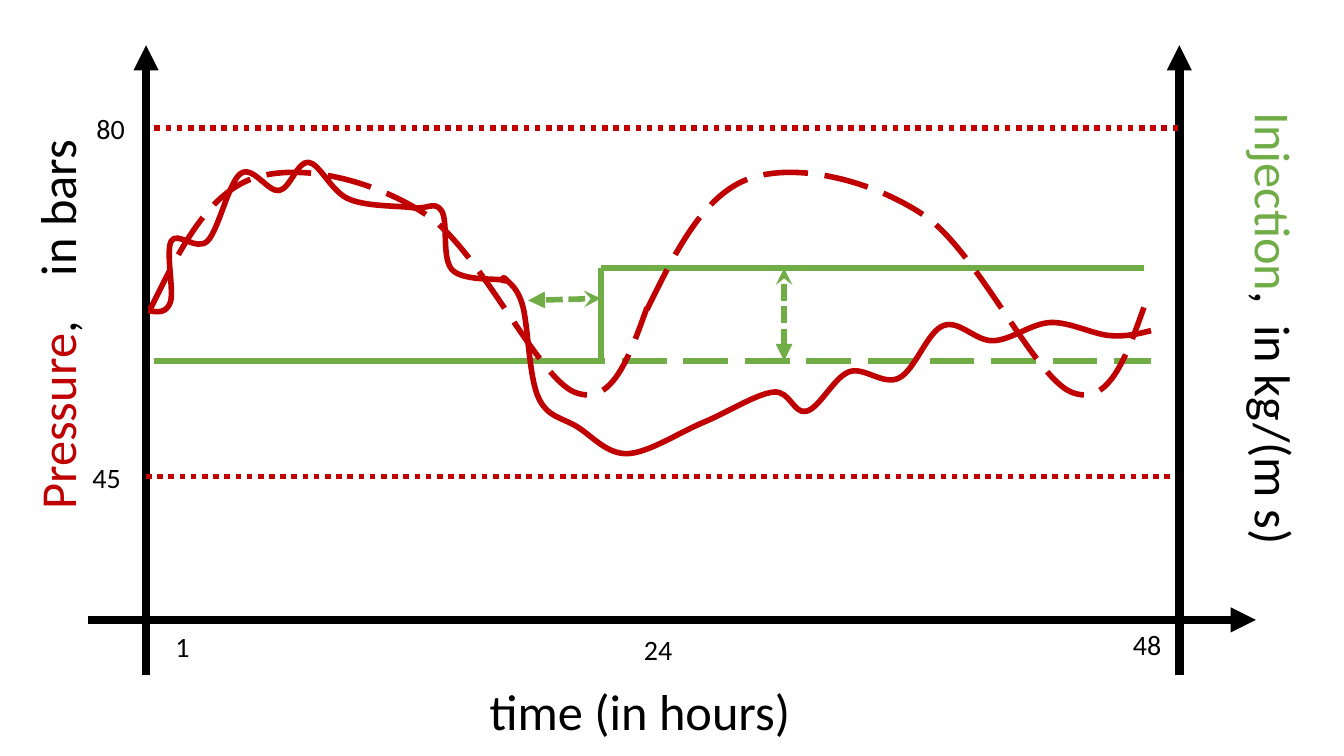
"""Build a slide plotting pressure and injection over 48 hours."""
from dataclasses import dataclass

from lxml.etree import SubElement
from pptx import Presentation
from pptx.dml.color import RGBColor
from pptx.enum.dml import MSO_LINE
from pptx.enum.shapes import MSO_CONNECTOR
from pptx.enum.text import MSO_AUTO_SIZE
from pptx.oxml.ns import qn
from pptx.util import Cm, Pt


@dataclass(frozen=True)
class Theme:
    black: RGBColor = RGBColor(0x00, 0x00, 0x00)
    red: RGBColor = RGBColor(0xC0, 0x00, 0x00)
    green: RGBColor = RGBColor(0x70, 0xAD, 0x47)
    font: str = "Calibri"
    label_size: Pt = Pt(36)
    tick_size: Pt = Pt(20)
    axis_width: Pt = Pt(6)
    plot_width: Pt = Pt(4)


theme = Theme()
LEFT_AXIS, RIGHT_AXIS, TIME_AXIS = 3.68, 29.72, 15.62
AXIS_TOP, AXIS_BOTTOM = 1.14, 17.02
PLOT_START, PLOT_END = 3.89, 29.01
MAX_PRESSURE, MIN_PRESSURE = 3.23, 12.01
HIGH_RATE, LOW_RATE = 6.76, 9.09
PLANNED_STEP, ACTUAL_STEP = 14.12, 15.14
LABEL_HEIGHT, TICK_WIDTH, TICK_HEIGHT = 1.8, 1.24, 1.12
CURVE_UNIT = Cm(2.54) // 100

presentation = Presentation()
presentation.slide_width = Cm(33.87)
presentation.slide_height = Cm(19.05)
slide = presentation.slides.add_slide(presentation.slide_layouts[6])


def add_line(start, end, color, width=theme.plot_width, dash=None, head=None, tail=None):
    """Draw a straight line between two points in centimetres."""
    ends = [Cm(length) for length in (*start, *end)]
    connector = slide.shapes.add_connector(MSO_CONNECTOR.STRAIGHT, *ends)
    connector.line.color.rgb = color
    connector.line.width = width
    if dash is not None:
        connector.line.dash_style = dash
    properties = connector._element.spPr
    for tag, arrow in (("a:headEnd", head), ("a:tailEnd", tail)):
        if arrow:
            SubElement(properties.find(qn("a:ln")), qn(tag), type=arrow)
    SubElement(properties, qn("a:effectLst"))


def add_curve(knots, dash=None):
    """Draw a smooth curve; each inner tangent is parallel to the chord of its neighbours."""
    builder = slide.shapes.build_freeform(*knots[0], scale=CURVE_UNIT)
    builder.add_line_segments(knots[1:], close=False)
    curve = builder.convert_to_shape()
    curve.shadow.inherit = False
    curve.fill.background()
    curve.line.color.rgb = theme.red
    curve.line.width = theme.plot_width
    if dash is not None:
        curve.line.dash_style = dash

    left, top = (min(values) for values in zip(*knots))
    places = [(x - left, y - top) for x, y in knots]
    arriving, leaving = {}, {}
    for index in range(1, len(places) - 1):
        before, knot, after = places[index - 1:index + 2]
        tangent = [(b - a) / 6 for a, b in zip(before, after)]
        arriving[index] = [k - t for k, t in zip(knot, tangent)]
        leaving[index] = [k + t for k, t in zip(knot, tangent)]
    last = len(places) - 1
    leaving[0] = [(a + b) / 2 for a, b in zip(places[0], arriving[1])]
    arriving[last] = [(a + b) / 2 for a, b in zip(places[last], leaving[last - 1])]

    outline = next(curve._element.iter(qn("a:path")))
    for index, segment in enumerate(outline.findall(qn("a:lnTo"))):
        bezier = SubElement(outline, qn("a:cubicBezTo"))
        for x, y in (leaving[index], arriving[index + 1], places[index + 1]):
            SubElement(bezier, qn("a:pt"), x=str(round(x)), y=str(round(y)))
        outline.remove(segment)


for axis in (LEFT_AXIS, RIGHT_AXIS):
    add_line((axis, AXIS_BOTTOM), (axis, AXIS_TOP), theme.black, theme.axis_width, tail="triangle")
add_line((2.21, TIME_AXIS), (31.65, TIME_AXIS), theme.black, theme.axis_width, tail="triangle")

pressure_parts = (("Pressure", theme.red), (",\tin bars", theme.black))
injection_parts = (("Injection", theme.green), (",\tin kg/(m s)", theme.black))
labels = [
    (pressure_parts, theme.label_size, (-3.68, 7.09, 10.21, LABEL_HEIGHT), 270, 5.89),
    (injection_parts, theme.label_size, (26.26, 7.54, 11.71, LABEL_HEIGHT), 90, 5.36),
    ((("time (in hours)", theme.black),), theme.label_size,
     (12.09, AXIS_BOTTOM, 8.15, LABEL_HEIGHT), 0, None),
]
ticks = (
    ("1", 4.17, 15.75, 0.86),
    ("24", 15.98, 15.82, TICK_WIDTH),
    ("48", 28.3, 15.7, TICK_WIDTH),
    ("80", 2.18, 2.69, TICK_WIDTH),
    ("45", 2.08, 11.48, TICK_WIDTH),
)
for value, left, top, width in ticks:
    box = (left, top, width, TICK_HEIGHT)
    labels.append((((value, theme.black),), theme.tick_size, box, 0, None))

for parts, size, box, rotation, unit_tab in labels:
    label = slide.shapes.add_textbox(*[Cm(length) for length in box])
    label.rotation = rotation
    label.text_frame.word_wrap = unit_tab is not None
    label.text_frame.auto_size = MSO_AUTO_SIZE.SHAPE_TO_FIT_TEXT
    paragraph = label.text_frame.paragraphs[0]
    if unit_tab is not None:
        tabs = SubElement(paragraph._p.get_or_add_pPr(), qn("a:tabLst"))
        SubElement(tabs, qn("a:tab"), pos=str(Cm(unit_tab)), algn="l")
    for text, color in parts:
        run = paragraph.add_run()
        run.text = text
        run.font.name = theme.font
        run.font.size = size
        run.font.color.rgb = color

pressure_limits = (
    (MIN_PRESSURE, LEFT_AXIS, 29.54),
    (MAX_PRESSURE, PLOT_START, RIGHT_AXIS),
)
for limit, start, end in pressure_limits:
    add_line((start, limit), (end, limit), theme.red, dash=MSO_LINE.ROUND_DOT)

injection_lines = (
    ((PLOT_START, LOW_RATE), (PLANNED_STEP, LOW_RATE), None),
    ((PLANNED_STEP, LOW_RATE), (PLOT_END, LOW_RATE), MSO_LINE.LONG_DASH),
    ((ACTUAL_STEP, HIGH_RATE), (28.83, HIGH_RATE), None),
    ((ACTUAL_STEP, HIGH_RATE), (ACTUAL_STEP, LOW_RATE), None),
)
for start, end, dash in injection_lines:
    add_line(start, end, theme.green, dash=dash)

planned_cycle = ((149, 307), (251, 177), (423, 213), (570, 389), (642, 305))
CYCLE_LENGTH = 493
for cycle in range(2):
    wave = [(x + cycle * CYCLE_LENGTH, y) for x, y in planned_cycle]
    add_curve(wave, MSO_LINE.LONG_DASH)

morning_swings = (
    (147, 308), (169, 300), (170, 239), (206, 239), (239, 172), (277, 189), (306, 161),
)
stepwise_fall = (
    (345, 197), (409, 206), (438, 209), (448, 267), (500, 278), (498, 278), (502, 277),
    (519, 305), (534, 394), (572, 423), (623, 450),
)
slow_recovery = (
    (698, 419), (767, 389), (800, 408), (842, 369), (892, 375), (936, 323), (986, 338),
    (1042, 320), (1102, 333), (1142, 328),
)
add_curve(morning_swings + stepwise_fall + slow_recovery)

RATE_GAP_TIME = 19.76
shift_arrows = (
    ((RATE_GAP_TIME, HIGH_RATE), (RATE_GAP_TIME, LOW_RATE)),
    ((ACTUAL_STEP, 7.52), (13.31, 7.57)),
)
for start, end in shift_arrows:
    add_line(start, end, theme.green, dash=MSO_LINE.SQUARE_DOT, head="stealth", tail="triangle")

presentation.save("out.pptx")
